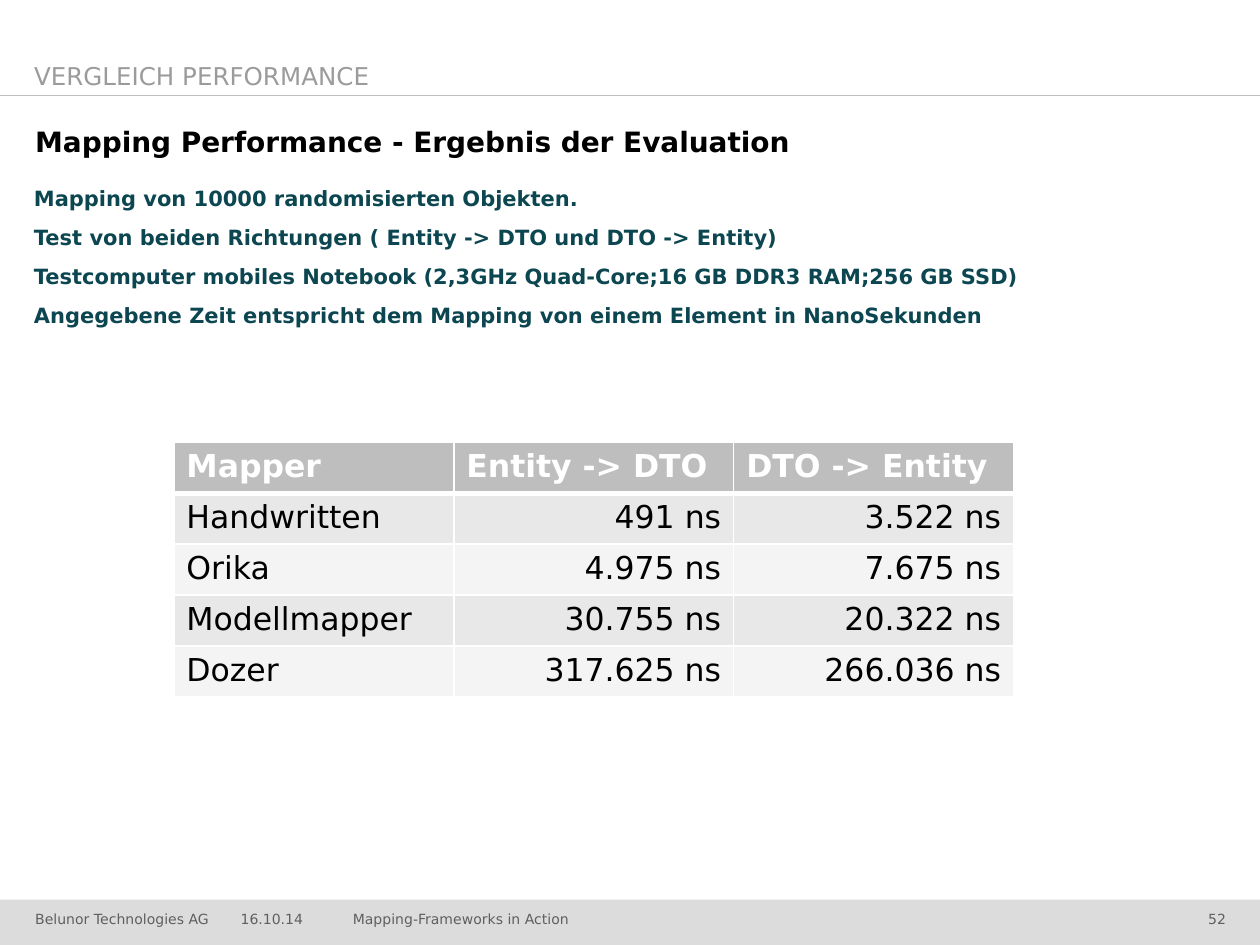
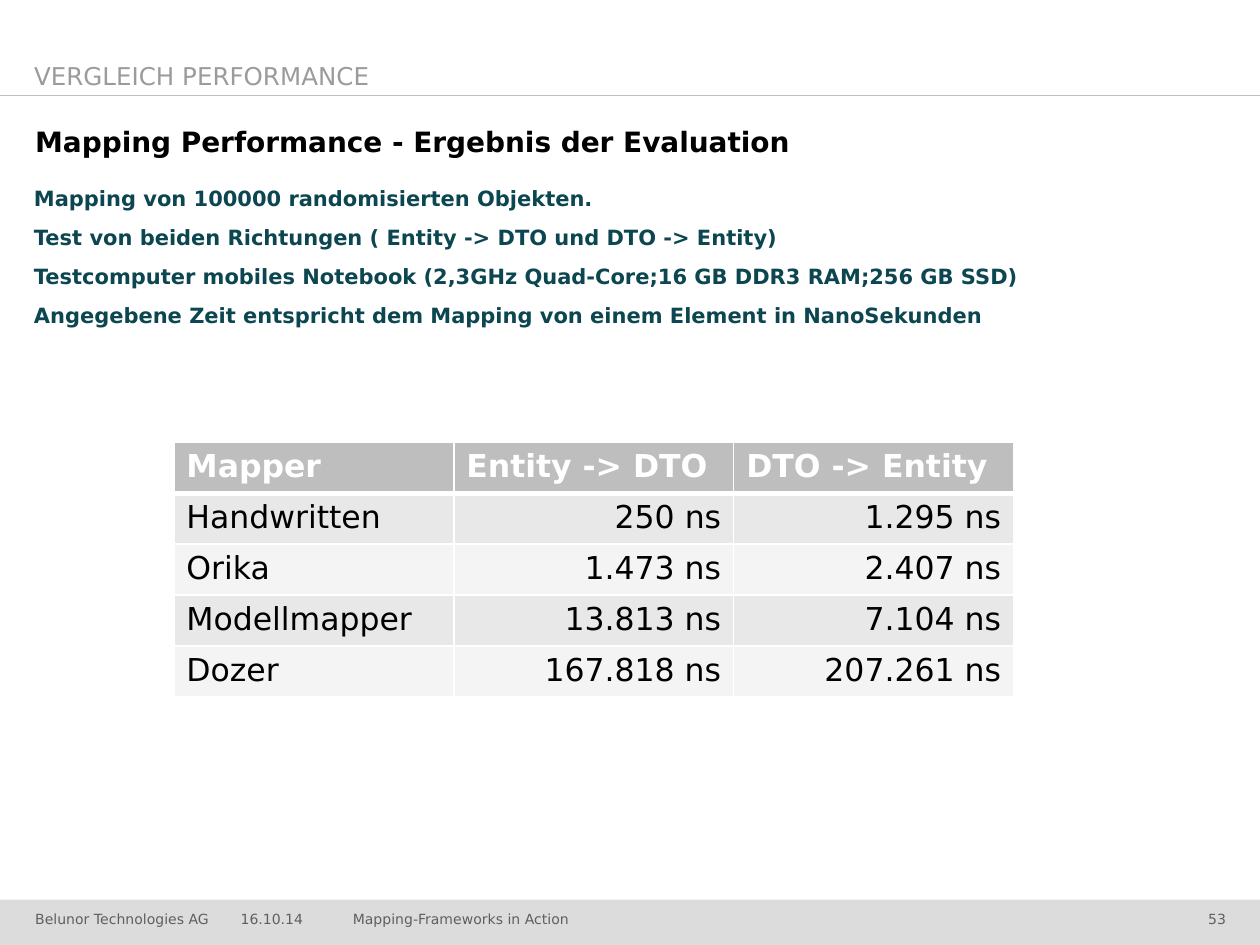
from lxml.etree import SubElement
from pptx import Presentation
from pptx.dml.color import RGBColor
from pptx.enum.shapes import MSO_CONNECTOR, MSO_SHAPE
from pptx.enum.text import MSO_ANCHOR, PP_ALIGN
from pptx.oxml.ns import qn
from pptx.util import Inches, Pt

# Grid: 100 columns by 75 rows of a tenth of an inch
COLS, ROWS, UNIT = 100, 75, 0.1
FONT = "DejaVu Sans"
WHITE, RULE, BAND = "FFFFFF", "BEBEBE", "DCDCDC"
STRIPES = "E8E8E8", "F4F4F4"

# Text styles
TITLE = dict(size=Pt(16), bold=True, color="000000")
BODY = dict(size=Pt(12), bold=True, color="0C4650")
TOPIC = dict(size=Pt(14), bold=False, color="9B9B9B")
FOOT = dict(size=Pt(8), bold=False, color="5F5F5F")
HEAD = dict(size=Pt(18), bold=True, color=WHITE)
CELL = dict(size=Pt(18), bold=False, color="000000")


def grid(*units):
    return [Inches(unit * UNIT) for unit in units]


def paint(target, color):
    target.rgb = RGBColor.from_string(color)


def assign(target, values):
    for name, value in values.items():
        setattr(target, name, value)


class Deck:
    left, right = 2.7, 97.3
    top, high = 71.4, 3.6  # footer band

    def __init__(self):
        self.file = Presentation()
        self.file.slide_width, self.file.slide_height = grid(COLS, ROWS)

    def start(self):
        slide = self.file.slides.add_slide(self.file.slide_layouts[6])
        self.shapes = slide.shapes

    def letter(self, para, text, style, **layout):
        assign(para, layout)
        run = para.add_run()
        run.text = text
        run.font.name = FONT
        assign(run.font, {k: v for k, v in style.items() if k != "color"})
        paint(run.font.color, style["color"])

    def text(self, place, lines, style, anchor=MSO_ANCHOR.TOP, base=0, **layout):
        frame = self.shapes.add_textbox(*grid(*place)).text_frame
        assign(frame, dict(
            word_wrap=True, vertical_anchor=anchor, margin_left=0,
            margin_top=0, margin_right=0, margin_bottom=Inches(base * UNIT)))
        for i, line in enumerate(lines):
            para = frame.add_paragraph() if i else frame.paragraphs[0]
            self.letter(para, line, style, **layout)

    def band(self):
        box = self.shapes.add_shape(
            MSO_SHAPE.RECTANGLE, *grid(0, self.top, COLS, self.high))
        box.shadow.inherit = False
        box.fill.solid()
        paint(box.fill.fore_color, BAND)
        box.line.fill.background()

    def rule(self, row):
        line = self.shapes.add_connector(
            MSO_CONNECTOR.STRAIGHT, *grid(COLS, row, 0, row))
        line.line.width = Pt(0.75)
        paint(line.line.color, RULE)
        SubElement(line._element.spPr, qn("a:effectLst"))

    def foot(self, x, width, text, align=PP_ALIGN.LEFT):
        self.text((x, self.top, width, self.high), [text], FOOT,
                  MSO_ANCHOR.BOTTOM, 1.4, alignment=align)

    def frame(self, number):
        self.band()
        self.foot(2.8, 15, "Belunor Technologies AG")
        self.rule(7.6)
        self.text((self.left, 2.9, 74.8, 4.7), ["VERGLEICH PERFORMANCE"],
                  TOPIC, MSO_ANCHOR.BOTTOM, 0.4)
        self.foot(19.1, 8, "16.10.14")
        self.foot(28, 61.4, "Mapping-Frameworks in Action")
        self.foot(self.right - 7.1, 7.1, str(number), PP_ALIGN.RIGHT)

    def edges(self, cell, widths):
        props = cell._tc.get_or_add_tcPr()
        for side, width in widths.items():
            line = SubElement(props, qn("a:ln" + side), w=str(Pt(width)))
            fill = SubElement(line, qn("a:solidFill"))
            SubElement(fill, qn("a:srgbClr"), val=WHITE)

    def table(self, x, y, wide, tall, rows):
        place = grid(x, y, wide * len(rows[0]), tall * len(rows))
        table = self.shapes.add_table(len(rows), len(rows[0]), *place).table
        for col in table.columns:
            col.width = Inches(wide * UNIT)
        for r, row in enumerate(rows):
            table.rows[r].height = Inches(tall * UNIT)
            for c, text in enumerate(row):
                cell = table.cell(r, c)
                # The header is set off by a heavier edge
                self.edges(cell, dict(L=1, R=1, T=3 if r == 1 else 1,
                                      B=1 if r else 3))
                cell.fill.solid()
                paint(cell.fill.fore_color, STRIPES[(r - 1) % 2] if r else RULE)
                align = PP_ALIGN.RIGHT if r and c else PP_ALIGN.LEFT
                self.letter(cell.text_frame.paragraphs[0], text,
                            CELL if r else HEAD, alignment=align)

    def result(self, number, count, times):
        self.start()
        self.frame(number)
        wide = self.right - self.left
        self.text((2.8, 9.9, wide, 5.5),
                  ["Mapping Performance - Ergebnis der Evaluation"], TITLE)
        self.text((self.left, 14.7, wide, 12.6), [
            f"Mapping von {count} randomisierten Objekten.",
            "Test von beiden Richtungen ( Entity -> DTO und DTO -> Entity)",
            "Testcomputer mobiles Notebook "
            "(2,3GHz Quad-Core;16 GB DDR3 RAM;256 GB SSD)",
            "Angegebene Zeit entspricht dem Mapping von einem Element "
            "in NanoSekunden",
        ], BODY, space_before=Pt(4), space_after=Pt(4))
        rows = [("Mapper", "Entity -> DTO", "DTO -> Entity")]
        for name, pair in zip(MAPPERS, times):
            rows.append((name, *(f"{time} ns" for time in pair)))
        self.table(13.8, 35.1, 22.22, 4.05, rows)


MAPPERS = "Handwritten", "Orika", "Modellmapper", "Dozer"

deck = Deck()
deck.result(52, 10000, [
    ("491", "3.522"), ("4.975", "7.675"),
    ("30.755", "20.322"), ("317.625", "266.036")])
deck.result(53, 100000, [
    ("250", "1.295"), ("1.473", "2.407"),
    ("13.813", "7.104"), ("167.818", "207.261")])
deck.file.save("out.pptx")
